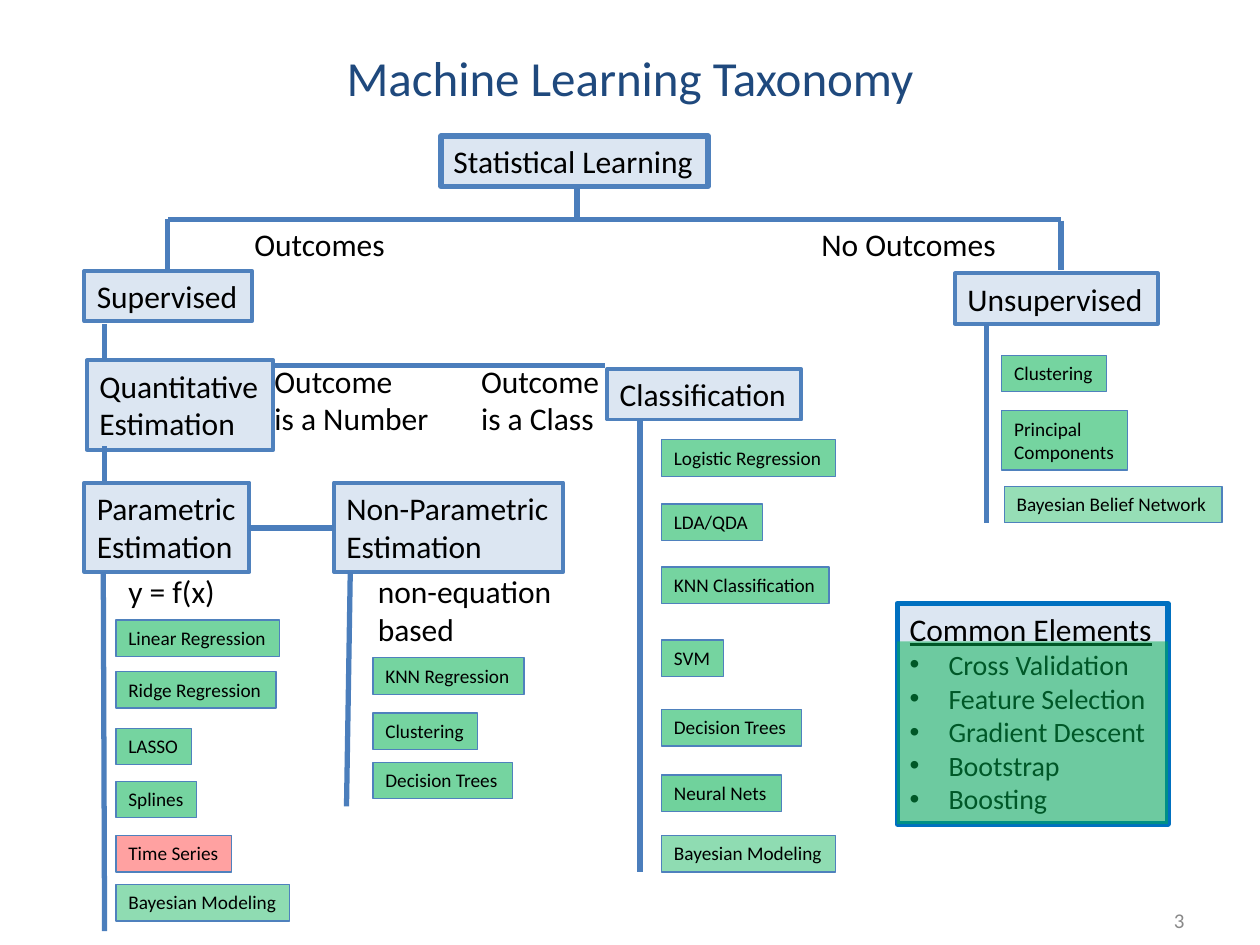
from lxml import etree
from pptx import Presentation, util as u
from pptx.dml.color import RGBColor
from pptx.enum import shapes, text
from pptx.oxml.ns import qn

FONT = "Calibri"
BLACK, BLUE, PALE, GREEN, RED = "000000", "4F81BD", "DCE6F2", "00B050", "FF0000"
BRANCH = "4B7EBC"

# Positions are in inches on the slide: left, top, width, height.
NODES = [
    ("Statistical Learning", 3.5, 1.08, 2.12, 0.4, 3),
    ("Supervised", 0.67, 2.15, 1.33, 0.4, 2.25),
    ("Unsupervised", 7.58, 2.17, 1.61, 0.4, 2.25),
    ("Quantitative\nEstimation", 0.69, 2.86, 1.48, 0.71, 2.25),
    ("Classification", 4.82, 2.93, 1.54, 0.4, 2.25),
    ("Parametric\nEstimation", 0.67, 3.83, 1.31, 0.71, 2.25),
    ("Non-Parametric\nEstimation", 2.65, 3.83, 1.82, 0.71, 2.25),
]
BRANCHES = [
    (4.58, 1.49, 4.58, 1.74), (8.42, 1.74, 1.33, 1.74),
    (1.33, 1.74, 1.33, 2.14), (8.42, 1.75, 8.42, 2.14),
    (0.83, 2.57, 0.83, 2.86), (4.8, 2.9, 2.17, 2.9),
    (0.83, 3.54, 0.83, 3.82), (2.65, 4.19, 1.98, 4.19),
    (0.82, 4.54, 0.83, 7.39), (2.78, 4.54, 2.75, 6.4),
    (5.08, 3.33, 5.08, 6.92), (7.83, 2.57, 7.83, 4.15),
]
LABELS = [
    ("Outcomes", 1.92, 1.74, 1.25, 0.4),
    ("No Outcomes", 6.42, 1.74, 1.6, 0.4),
    ("Outcome\nis a Number", 2.08, 2.82, 1.44, 0.71),
    ("Outcome\nis a Class", 3.72, 2.82, 1.15, 0.71),
    ("y = f(x)", 0.92, 4.49, 0.9, 0.4),
    ("non-equation\nbased", 2.9, 4.49, 1.6, 0.71),
]
# Left edge of each column -> methods: text, top, width, fill, opacity in percent.
METHODS = {
    0.92: [("Linear Regression", 4.92, 1.3, GREEN, 54),
           ("Ridge Regression", 5.33, 1.27, GREEN, 54),
           ("LASSO", 5.78, 0.6, GREEN, 54),
           ("Splines", 6.2, 0.64, GREEN, 54),
           ("Time Series", 6.63, 0.92, RED, 37),
           ("Bayesian Modeling", 7.02, 1.38, GREEN, 44)],
    2.96: [("KNN Regression", 5.22, 1.2, GREEN, 54),
           ("Clustering", 5.66, 0.83, GREEN, 54),
           ("Decision Trees", 6.05, 1.11, GREEN, 54)],
    5.25: [("Logistic Regression", 3.49, 1.38, GREEN, 54),
           ("LDA/QDA", 4, 0.8, GREEN, 54),
           ("KNN Classification", 4.5, 1.33, GREEN, 54),
           ("SVM", 5.08, 0.49, GREEN, 54),
           ("Decision Trees", 5.63, 1.11, GREEN, 54),
           ("Neural Nets", 6.15, 0.95, GREEN, 56),
           ("Bayesian Modeling", 6.63, 1.38, GREEN, 44)],
    7.95: [("Clustering", 2.82, 0.83, GREEN, 54),
           ("Principal\nComponents", 3.26, 1, GREEN, 54)],
    7.97: [("Bayesian Belief Network", 3.86, 1.73, GREEN, 41)],
}
COMMON = ["Cross Validation", "Feature Selection", "Gradient Descent", "Bootstrap", "Boosting"]


def length(inches):
    """Convert inches on the slide to a length."""
    return u.Cm(inches * 2.54)


def color(value):
    """Turn a hex string into a colour."""
    return RGBColor.from_string(value)


def add_paragraph(frame, words, size=18, ink=BLACK, align=text.PP_ALIGN.LEFT,
                  underline=None, bullet=False):
    """Write one formatted paragraph, reusing the first while it is empty."""
    first = frame.paragraphs[0]
    paragraph = frame.add_paragraph() if first.runs else first
    paragraph.alignment = align
    run = paragraph.add_run()
    run.text = words
    run.font.name, run.font.size = FONT, u.Pt(size)
    run.font.color.rgb = color(ink)
    run.font.underline = underline
    if bullet:
        properties = paragraph._p.get_or_add_pPr()
        properties.set("marL", str(length(0.31)))
        properties.set("indent", str(-length(0.31)))
        etree.SubElement(properties, qn("a:buFont"), typeface="Arial")
        etree.SubElement(properties, qn("a:buChar"), char="•")
    return paragraph


def write(shape, words, **style):
    """Fill a shape with unwrapped text, one paragraph per line."""
    frame = shape.text_frame
    frame.word_wrap = False
    frame.auto_size = text.MSO_AUTO_SIZE.SHAPE_TO_FIT_TEXT
    frame.vertical_anchor = text.MSO_ANCHOR.TOP
    for line in words.split("\n"):
        add_paragraph(frame, line, **style)


def add_box(slide, box, fill, opacity=100, line=BLUE, weight=0.75):
    """Add a rectangle; without a weight it has no outline."""
    shape = slide.shapes.add_shape(shapes.MSO_SHAPE.RECTANGLE, *map(length, box))
    shape.shadow.inherit = False
    shape.fill.solid()
    shape.fill.fore_color.rgb = color(fill)
    if opacity < 100:
        hue = shape.fill._xPr.find(qn("a:solidFill"))[0]
        etree.SubElement(hue, qn("a:alpha"), val=str(opacity * 1000))
    if weight:
        shape.line.color.rgb = color(line)
        shape.line.width = u.Pt(weight)
    else:
        shape.line.fill.background()
    return shape


def add_branch(slide, ends):
    """Add one straight branch of the tree."""
    branch = slide.shapes.add_connector(shapes.MSO_CONNECTOR.STRAIGHT, *map(length, ends))
    branch.line.color.rgb = color(BRANCH)
    branch.line.width = u.Pt(3)
    etree.SubElement(branch._element.spPr, qn("a:effectLst"))


def add_title(slide, words):
    """Place and write the title."""
    title = slide.shapes.title
    title.left, title.top, title.width, title.height = map(length, (0.5, 0.3, 9, 0.62))
    title.text_frame.vertical_anchor = text.MSO_ANCHOR.MIDDLE
    add_paragraph(title.text_frame, words, size=28, ink="1F497D", align=text.PP_ALIGN.CENTER)


def add_page_number(slide, number):
    """Write the page number at the lower right."""
    frame = slide.shapes.add_textbox(*map(length, (7.17, 7.1, 2.33, 0.4))).text_frame
    frame.word_wrap = True
    frame.vertical_anchor = text.MSO_ANCHOR.MIDDLE
    add_paragraph(frame, number, size=12, ink="898989", align=text.PP_ALIGN.RIGHT)


presentation = Presentation()
presentation.slide_width, presentation.slide_height = length(10), length(7.5)
slide = presentation.slides.add_slide(presentation.slide_layouts[5])
add_title(slide, "Machine Learning Taxonomy")
add_page_number(slide, "3")

for words, *box, weight in NODES:
    write(add_box(slide, box, PALE, weight=weight), words)
for ends in BRANCHES:
    add_branch(slide, ends)
for words, *box in LABELS:
    write(slide.shapes.add_textbox(*map(length, box)), words)
for left, methods in METHODS.items():
    for words, top, width, fill, opacity in methods:
        height = 0.47 if "\n" in words else 0.29
        write(add_box(slide, (left, top, width, height), fill, opacity), words, size=11)

common = add_box(slide, (7.12, 4.79, 2.15, 1.75), PALE, line="0070C0", weight=3)
write(common, "Common Elements", underline=True)
for element in COMMON:
    add_paragraph(common.text_frame, element, size=16, bullet=True)
add_box(slide, (7.12, 5.09, 2.15, 1.45), GREEN, 50, weight=0)

presentation.save("out.pptx")
